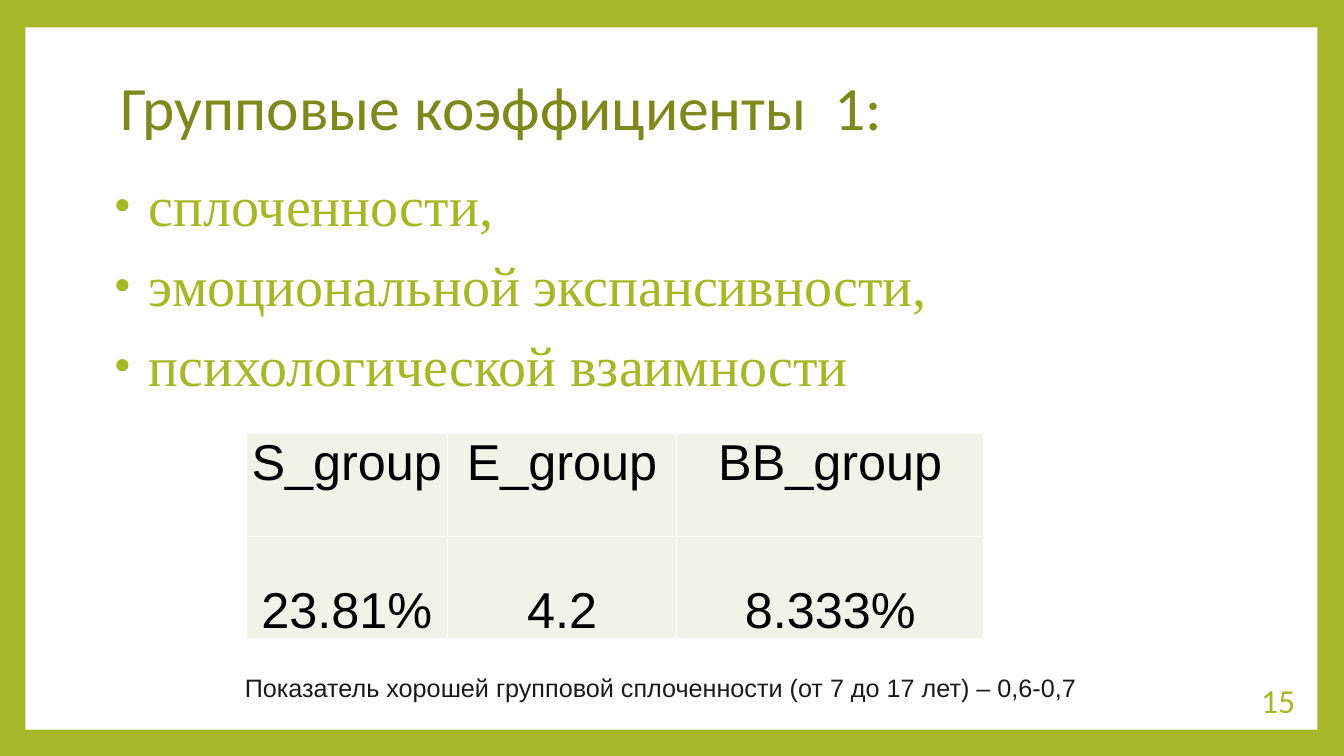
from lxml import etree
from pptx import Presentation
from pptx import util as u
from pptx.dml.color import RGBColor
from pptx.enum import shapes, text
from pptx.oxml import parse_xml
from pptx.oxml.ns import nsdecls, qn

GREEN = RGBColor(0xA6, 0xB7, 0x27)
OLIVE = RGBColor(0x7D, 0x89, 0x1D)
PALE = RGBColor(0xF1, 0xF3, 0xE8)
WHITE = RGBColor(0xFF, 0xFF, 0xFF)
BLACK = RGBColor(0, 0, 0)
INK = RGBColor(0x1A, 0x1A, 0x1A)

TITLE = {"name": "Calibri", "size": u.Pt(44), "bold": False}
LIST = {"name": "Times New Roman", "size": u.Pt(40)}
CELL = {"name": "Arial", "size": u.Pt(36), "bold": False}
CAPTION = {"name": "Arial", "size": u.Pt(18)}
NUMBER = {"name": "Calibri", "size": u.Pt(24)}

LEFT, CENTER, RIGHT = (text.PP_ALIGN.LEFT, text.PP_ALIGN.CENTER,
                       text.PP_ALIGN.RIGHT)
TOP, MIDDLE, BOTTOM = (text.MSO_ANCHOR.TOP, text.MSO_ANCHOR.MIDDLE,
                       text.MSO_ANCHOR.BOTTOM)


class Deck:
    """Holds the style and the current slide."""

    def __init__(self):
        self.prs = Presentation()
        self.prs.slide_width, self.prs.slide_height = u.Cm(33.87), u.Cm(19.05)

    def new_slide(self, color):
        self.s = self.prs.slides.add_slide(self.prs.slide_layouts[5])
        self.s.background.fill.solid()
        self.s.background.fill.fore_color.rgb = color

    def add_words(self, p, words, style, color, align=LEFT):
        p.alignment = align
        r = p.add_run()
        r.text = words
        for key, value in style.items():
            setattr(r.font, key, value)
        r.font.color.rgb = color

    def panel(self, box, color):
        sp = self.s.shapes.add_shape(shapes.MSO_SHAPE.RECTANGLE,
                                     *map(u.Cm, box))
        sp.shadow.inherit = False
        sp.fill.solid()
        sp.fill.fore_color.rgb = color
        sp.line.fill.background()
        # Keep the panel behind the title
        self.s.shapes.title.element.addprevious(sp.element)

    def title(self, box, words):
        sp = self.s.shapes.title
        sp.left, sp.top, sp.width, sp.height = map(u.Cm, box)
        tf = sp.text_frame
        tf.auto_size = text.MSO_AUTO_SIZE.NONE
        tf.vertical_anchor = MIDDLE
        p = tf.paragraphs[0]
        p.line_spacing = 0.9
        self.add_words(p, words, TITLE, OLIVE)

    def text_box(self, box, words, style, color, align=LEFT, anchor=TOP):
        tf = self.s.shapes.add_textbox(*map(u.Cm, box)).text_frame
        tf.word_wrap = True
        tf.vertical_anchor = anchor
        self.add_words(tf.paragraphs[0], words, style, color, align)

    def bullets(self, box, items):
        tf = self.s.shapes.add_textbox(*map(u.Cm, box)).text_frame
        tf.word_wrap = True
        for i, item in enumerate(items):
            p = tf.add_paragraph() if i else tf.paragraphs[0]
            p.line_spacing = 0.9
            p.space_before = u.Pt(14)
            self.add_words(p, item, LIST, GREEN)
            pPr = p._p.get_or_add_pPr()
            pPr.set("marL", str(u.Cm(0.64)))
            pPr.set("indent", str(u.Cm(-0.51)))
            color = etree.SubElement(pPr, qn("a:buClr"))
            etree.SubElement(color, qn("a:srgbClr"), val=str(GREEN))
            etree.SubElement(pPr, qn("a:buSzPct"), val="80000")
            etree.SubElement(pPr, qn("a:buFont"), typeface="Arial")
            etree.SubElement(pPr, qn("a:buChar"), char="•")

    def borders(self, cell):
        tcPr = cell._tc.get_or_add_tcPr()
        for i, side in enumerate(("lnL", "lnR", "lnT", "lnB")):
            tcPr.insert(i, parse_xml(
                f'<a:{side} {nsdecls("a")} w="{u.Pt(1)}"><a:solidFill>'
                f'<a:srgbClr val="{WHITE}"/></a:solidFill></a:{side}>'))

    def table(self, left, top, widths, row_height, rows, anchors):
        box = left, top, sum(widths), row_height * len(rows)
        table = self.s.shapes.add_table(len(rows), len(widths),
                                        *map(u.Cm, box)).table
        table.first_row = table.horz_banding = False
        for column, width in zip(table.columns, widths):
            column.width = u.Cm(width)
        form = {"margin_left": u.Cm(0.03), "margin_right": u.Cm(0.03),
                "margin_top": u.Cm(0.03), "margin_bottom": 0}
        for i, (row, anchor) in enumerate(zip(rows, anchors)):
            table.rows[i].height = u.Cm(row_height)
            for j, words in enumerate(row):
                cell = table.cell(i, j)
                for key, value in form.items():
                    setattr(cell, key, value)
                cell.vertical_anchor = anchor
                cell.fill.solid()
                cell.fill.fore_color.rgb = PALE
                self.borders(cell)
                self.add_words(cell.text_frame.paragraphs[0], words, CELL,
                               BLACK, CENTER)


def main():
    deck = Deck()

    # Frame and title
    deck.new_slide(GREEN)
    deck.panel((0.64, 0.69, 32.56, 17.7), WHITE)
    deck.title((2.79, 0.91, 27.43, 3.76), "Групповые коэффициенты  1:")

    # Group coefficients
    deck.table(6.2, 10.92, (5.08, 5.77, 7.75), 2.59,
               (("S_group", "E_group", "BB_group"),
                ("23.81%", "4.2", "8.333%")), (TOP, BOTTOM))

    # Slide number, list and caption
    deck.text_box((28.14, 17.12, 4.75, 1.02), "15", NUMBER, GREEN,
                  RIGHT, MIDDLE)
    deck.bullets((2.51, 4.37, 29.21, 5.89),
                 (" сплоченности,", " эмоциональной экспансивности,",
                  " психологической взаимности"))
    deck.text_box((5.92, 16.81, 24.94, 1.02),
                  "Показатель хорошей групповой сплоченности "
                  "(от 7 до 17 лет) – 0,6-0,7", CAPTION, INK)

    deck.prs.save("out.pptx")


if __name__ == "__main__":
    main()
